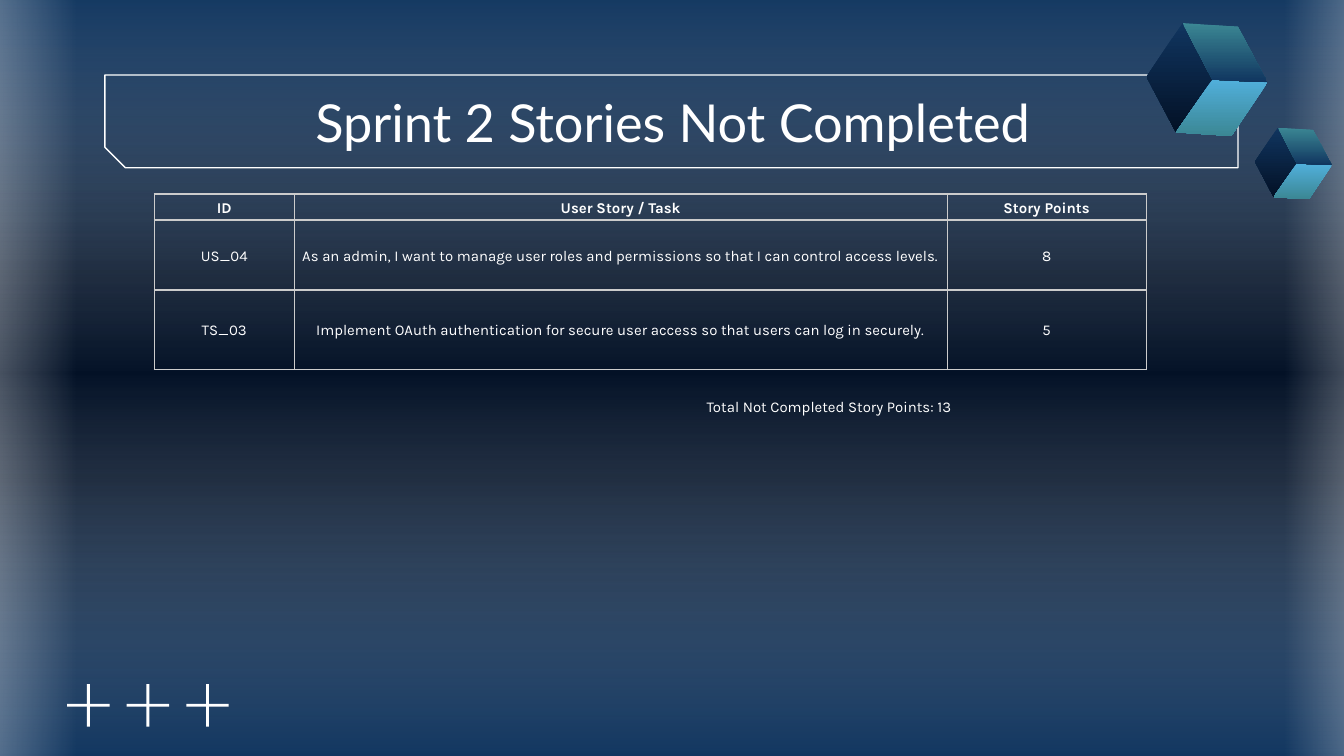
from pptx import Presentation
from pptx.dml.color import RGBColor
from pptx.enum.shapes import MSO_SHAPE
from pptx.enum.text import MSO_ANCHOR, PP_ALIGN
from pptx.oxml import parse_xml
from pptx.oxml.ns import nsdecls, qn
from pptx.util import Pt

RECT, SNIP = MSO_SHAPE.RECTANGLE, MSO_SHAPE.SNIP_2_DIAG_RECTANGLE
TOP, MID = MSO_ANCHOR.TOP, MSO_ANCHOR.MIDDLE
LEFT, MIDST = PP_ALIGN.LEFT, PP_ALIGN.CENTER

WHITE = RGBColor(0xFF, 0xFF, 0xFF)
NAVY = RGBColor(0x10, 0x35, 0x5F)
NIGHT = RGBColor(0x03, 0x11, 0x26)
SKY = RGBColor(0x51, 0xAF, 0xDB)
TEAL = RGBColor(0x3B, 0x87, 0x94)
GRAY = RGBColor(0xCC, 0xCC, 0xCC)


def write(frame, text, size=8, font="Karla", bold=False, align=LEFT, space=None):
    para = frame.paragraphs[0]
    para.alignment = align
    if space:
        para.line_spacing = space
    run = para.add_run()
    run.text = text
    run.font.size = Pt(size)
    run.font.name = font
    run.font.bold = bold
    run.font.color.rgb = WHITE


def blend(fill, root, stops, angle):
    """Gradient of (place %, colour, opacity %) stops, angle clockwise."""
    fill.gradient()
    grad = next(root.iter(qn("a:gradFill")))
    marks = "".join(
        f'<a:gs pos="{pos * 1000}"><a:srgbClr val="{color}">'
        f'<a:alpha val="{alpha * 1000}"/></a:srgbClr></a:gs>'
        for pos, color, alpha in stops)
    grad.replace(grad.find(qn("a:gsLst")),
                 parse_xml(f'<a:gsLst {nsdecls("a")}>{marks}</a:gsLst>'))
    grad.find(qn("a:lin")).set("ang", str(angle * 60000))


class Deck:
    def __init__(self, wide, high):
        self.prs = Presentation()
        self.prs.slide_width, self.prs.slide_height = Pt(wide), Pt(high)
        self.slide = self.prs.slides.add_slide(self.prs.slide_layouts[6])
        self.shapes = self.slide.shapes

    def back(self, stops):
        blend(self.slide.background.fill, self.slide.element, stops, 90)

    def box(self, x, y, w, h, kind=RECT, fill=None, line=None):
        shape = self.shapes.add_shape(kind, Pt(x), Pt(y), Pt(w), Pt(h))
        shape.shadow.inherit = False
        if fill is None:
            shape.fill.background()
        else:
            shape.fill.solid()
            shape.fill.fore_color.rgb = fill
        if line is None:
            shape.line.fill.background()
        else:
            shape.line.color.rgb = line
            shape.line.width = Pt(0.75)
        return shape

    def haze(self, x, y, w, h, stops, angle):
        shape = self.box(x, y, w, h)
        blend(shape.fill, shape.element, stops, angle)

    def face(self, points, start, end):
        first, *rest = [(Pt(x), Pt(y)) for x, y in points]
        pen = self.shapes.build_freeform(*first, scale=1)
        pen.add_line_segments(rest, close=True)
        shape = pen.convert_to_shape()
        shape.shadow.inherit = False
        shape.line.fill.background()
        blend(shape.fill, shape.element, [(0, start, 100), (100, end, 100)], 90)

    def cube(self, x, y, scale):
        for names, start, end in FACES:
            points = [(x + CORNERS[n][0] * scale, y + CORNERS[n][1] * scale)
                      for n in names]
            self.face(points, start, end)

    def plus(self, x, y, size, thick):
        inset = (size - thick) / 2
        self.box(x + inset, y, thick, size, fill=WHITE)
        self.box(x, y + inset, size, thick, fill=WHITE)

    def text(self, x, y, w, h, text, anchor=TOP, **style):
        frame = self.shapes.add_textbox(Pt(x), Pt(y), Pt(w), Pt(h)).text_frame
        frame.word_wrap = True
        frame.vertical_anchor = anchor
        frame.margin_left = frame.margin_right = Pt(7.2)
        frame.margin_top = frame.margin_bottom = Pt(7.2)
        write(frame, text, **style)

    def table(self, x, y, cols, rows, data):
        table = self.shapes.add_table(len(rows), len(cols), Pt(x), Pt(y),
                                      Pt(sum(cols)), Pt(sum(rows))).table
        table.first_row = table.horz_banding = False
        for col, width in zip(table.columns, cols):
            col.width = Pt(width)
        for row, height in zip(table.rows, rows):
            row.height = Pt(height)
        for r, line in enumerate(data):
            for c, text in enumerate(line):
                self.cell(table.cell(r, c), text, bold=r == 0)

    def cell(self, cell, text, bold):
        cell.fill.background()
        cell.vertical_anchor = MID
        cell.margin_left = cell.margin_right = Pt(2.2)
        cell.margin_top = cell.margin_bottom = Pt(1.5)
        write(cell.text_frame, text, bold=bold, align=MIDST, space=1.15)
        props = cell._tc.get_or_add_tcPr()
        for i, side in enumerate("LRTB"):
            props.insert(i, parse_xml(
                f'<a:ln{side} {nsdecls("a")} w="{Pt(0.83)}"><a:solidFill>'
                f'<a:srgbClr val="{GRAY}"/></a:solidFill></a:ln{side}>'))


# Cube corners from the top left of its frame, and its three faces
CORNERS = {"a": (19.4, 0), "b": (0, 28.8), "c": (15.8, 58.5), "d": (35.3, 30.3),
           "e": (49, 2), "f": (64.8, 31.8), "g": (45.4, 60.5)}
FACES = [("abcd", NAVY, NIGHT), ("dfgc", SKY, TEAL), ("aefd", TEAL, NAVY)]
GLOW = [(0, WHITE, 47), (100, WHITE, 0)]
ROWS = [
    ("ID", "User Story / Task", "Story Points"),
    ("US_04", "As an admin, I want to manage user roles and permissions "
     "so that I can control access levels.", "8"),
    ("TS_03", "Implement OAuth authentication for secure user access "
     "so that users can log in securely.", "5"),
]


def main():
    deck = Deck(720, 405)

    # Background with haze and glowing sides
    deck.back([(0, NAVY, 100), (37, NIGHT, 100), (63, NIGHT, 100), (100, NAVY, 100)])
    deck.haze(0, -9.4, 735, 418.3, [(0, NAVY, 59), (50, WHITE, 0), (100, NAVY, 59)], 90)
    deck.haze(-29.5, -6.5, 70.5, 417.6, GLOW, 0)
    deck.haze(688.3, -9.4, 61.2, 417.6, GLOW, 180)

    # Title in its frame
    frame = deck.box(56.2, 40.2, 607, 49.7, SNIP, line=WHITE)
    frame.adjustments[0], frame.adjustments[1] = 0, 0.221
    deck.text(56.9, 42.5, 607, 45.4, "Sprint 2 Stories Not Completed",
              anchor=MID, size=28, font="Lato", align=MIDST)

    # Plus signs and cubes
    for i in range(3):
        deck.plus(36 + 31.9 * i, 366.5, 22.8, 1.6)
    deck.cube(614.2, 12.4, 1)
    deck.cube(672.3, 68.4, 0.635)

    # Stories and total
    deck.table(82.7, 103.9, [75, 349.8, 106.6], [13.3, 37.5, 42.5], ROWS)
    deck.text(371.5, 208.1, 321, 24.5, "Total Not Completed Story Points: 13")

    deck.prs.save("out.pptx")


if __name__ == "__main__":
    main()
